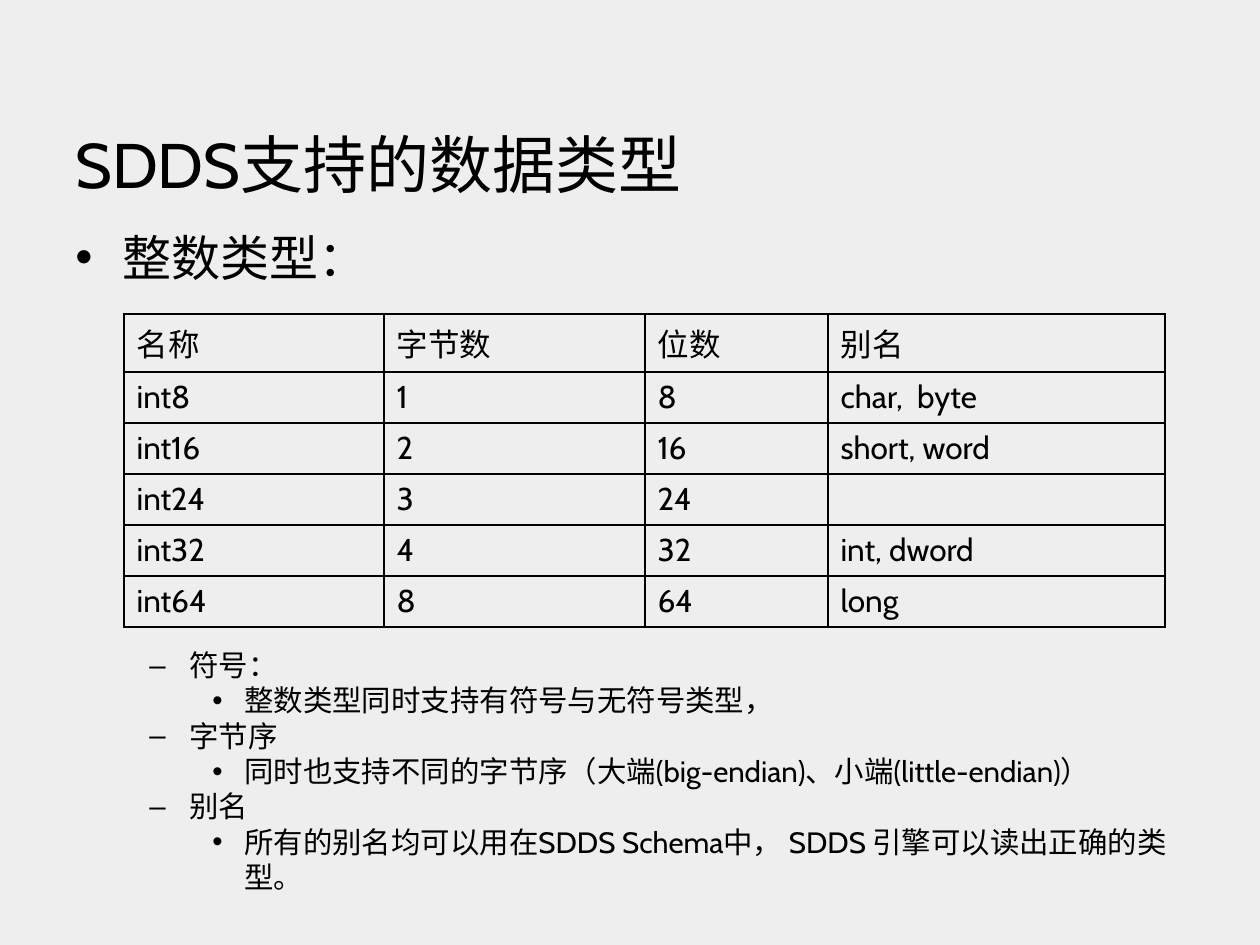
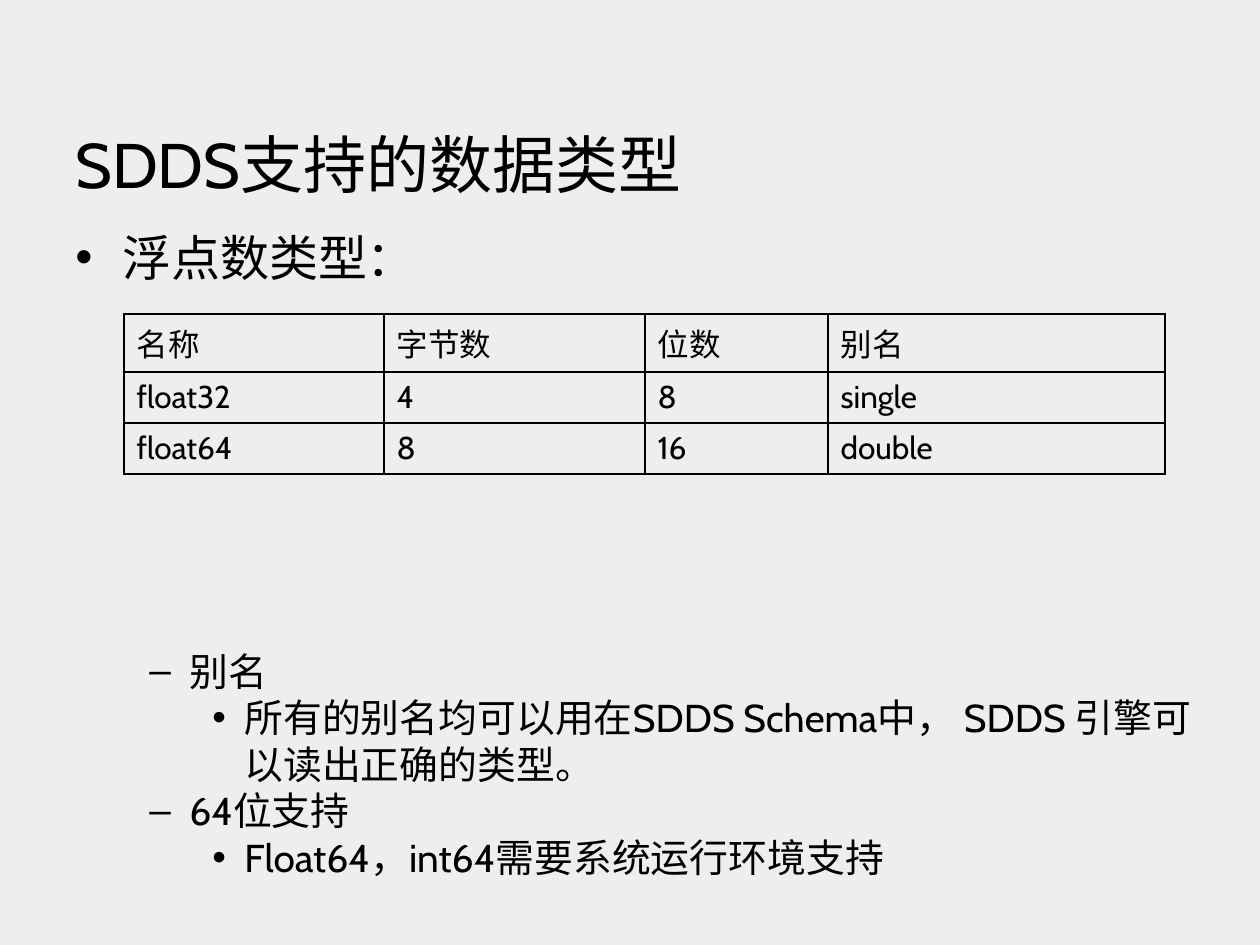
from lxml.etree import SubElement
from pptx import Presentation
from pptx.dml.color import RGBColor
from pptx.enum.text import MSO_ANCHOR
from pptx.oxml import parse_xml
from pptx.oxml.ns import nsdecls, qn
from pptx.util import Pt

TITLE = "SDDS支持的数据类型"
COLUMNS = ("名称", "字节数", "位数", "别名")
ALIAS_NOTE = ("别名", "所有的别名均可以用在SDDS Schema中， SDDS 引擎可以读出正确的类型。")
TYPE_FAMILIES = [
    {
        "heading": "整数类型：",
        "types": [
            ("int8", "1", "8", "char,  byte"),
            ("int16", "2", "16", "short, word"),
            ("int24", "3", "24", ""),
            ("int32", "4", "32", "int, dword"),
            ("int64", "8", "64", "long"),
        ],
        "notes": [
            ("符号：", "整数类型同时支持有符号与无符号类型，"),
            ("字节序", "同时也支持不同的字节序（大端(big-endian)、小端(little-endian)）"),
            ALIAS_NOTE,
        ],
        "note_size": 16.8,
    },
    {
        "heading": "浮点数类型：",
        "types": [
            ("float32", "4", "8", "single"),
            ("float64", "8", "16", "double"),
        ],
        "notes": [
            ALIAS_NOTE,
            ("64位支持", "Float64，int64需要系统运行环境支持"),
        ],
        "note_size": 22.2,
    },
]

FONT = "Cabin"
INK = RGBColor(0x00, 0x00, 0x00)
PAPER = RGBColor(0xEE, 0xEE, 0xEE)

SLIDE_SIZE = (1260, 945)
TITLE_BOX = (63, 49, 1134, 158)
HEADING_BOX = (63, 221, 1134, 73)
NOTES_BOX = (74, 641, 1134, 218)
TABLE_LEFT, TABLE_TOP = 124, 314
COLUMN_WIDTHS = (260, 261, 183, 337)
HEADER_HEIGHT, ROW_HEIGHT = 58, 51
HEADING_BULLET = ("•", 47, 47)
NOTE_BULLETS = (("–", 103, 40), ("•", 158, 32))


def px(length):
    return round(length * 914400 / 126)


def format_runs(paragraph, size):
    for run in paragraph.runs:
        run.font.name = FONT
        run.font.size = Pt(size)
        run.font.color.rgb = INK


def add_bullet(paragraph, bullet):
    mark, indent, hang = bullet
    properties = paragraph._p.get_or_add_pPr()
    properties.set("marL", str(px(indent)))
    properties.set("indent", str(-px(hang)))
    SubElement(properties, qn("a:buFont")).set("typeface", "Arial")
    SubElement(properties, qn("a:buChar")).set("char", mark)


def add_text(slide, box, lines, size):
    frame = slide.shapes.add_textbox(*map(px, box)).text_frame
    frame.word_wrap = True
    for number, (text, level, bullet) in enumerate(lines):
        paragraph = frame.add_paragraph() if number else frame.paragraphs[0]
        paragraph.text = text
        paragraph.level = level
        if bullet:
            add_bullet(paragraph, bullet)
        format_runs(paragraph, size)
    return frame


def add_borders(cell):
    properties = cell._tc.get_or_add_tcPr()
    for position, side in enumerate("LRTB"):
        border = parse_xml(
            f'<a:ln{side} {nsdecls("a")} w="12700"><a:solidFill>'
            f'<a:srgbClr val="{INK}"/></a:solidFill></a:ln{side}>'
        )
        properties.insert(position, border)


def add_type_table(slide, types):
    rows = [COLUMNS, *types]
    heights = [HEADER_HEIGHT] + [ROW_HEIGHT] * len(types)
    table = slide.shapes.add_table(
        len(rows), len(COLUMNS), px(TABLE_LEFT), px(TABLE_TOP),
        px(sum(COLUMN_WIDTHS)), px(sum(heights)),
    ).table
    table.first_row = False
    table.horz_banding = False
    for column, width in zip(table.columns, COLUMN_WIDTHS):
        column.width = px(width)
    for row, height, values in zip(table.rows, heights, rows):
        row.height = px(height)
        for cell, value in zip(row.cells, values):
            cell.text_frame.text = value
            format_runs(cell.text_frame.paragraphs[0], 18)
            cell.fill.background()
            add_borders(cell)


def add_family_slide(deck, family):
    slide = deck.slides.add_slide(deck.slide_layouts[6])
    slide.background.fill.solid()
    slide.background.fill.fore_color.rgb = PAPER
    add_text(slide, HEADING_BOX, [(family["heading"], 0, HEADING_BULLET)], 28)
    title = add_text(slide, TITLE_BOX, [(TITLE, 0, None)], 36)
    title.vertical_anchor = MSO_ANCHOR.BOTTOM
    add_type_table(slide, family["types"])
    notes = [
        (text, depth + 1, NOTE_BULLETS[depth])
        for note in family["notes"]
        for depth, text in enumerate(note)
    ]
    add_text(slide, NOTES_BOX, notes, family["note_size"])


def main():
    deck = Presentation()
    deck.slide_width, deck.slide_height = map(px, SLIDE_SIZE)
    for family in TYPE_FAMILIES:
        add_family_slide(deck, family)
    deck.save("out.pptx")


if __name__ == "__main__":
    main()
